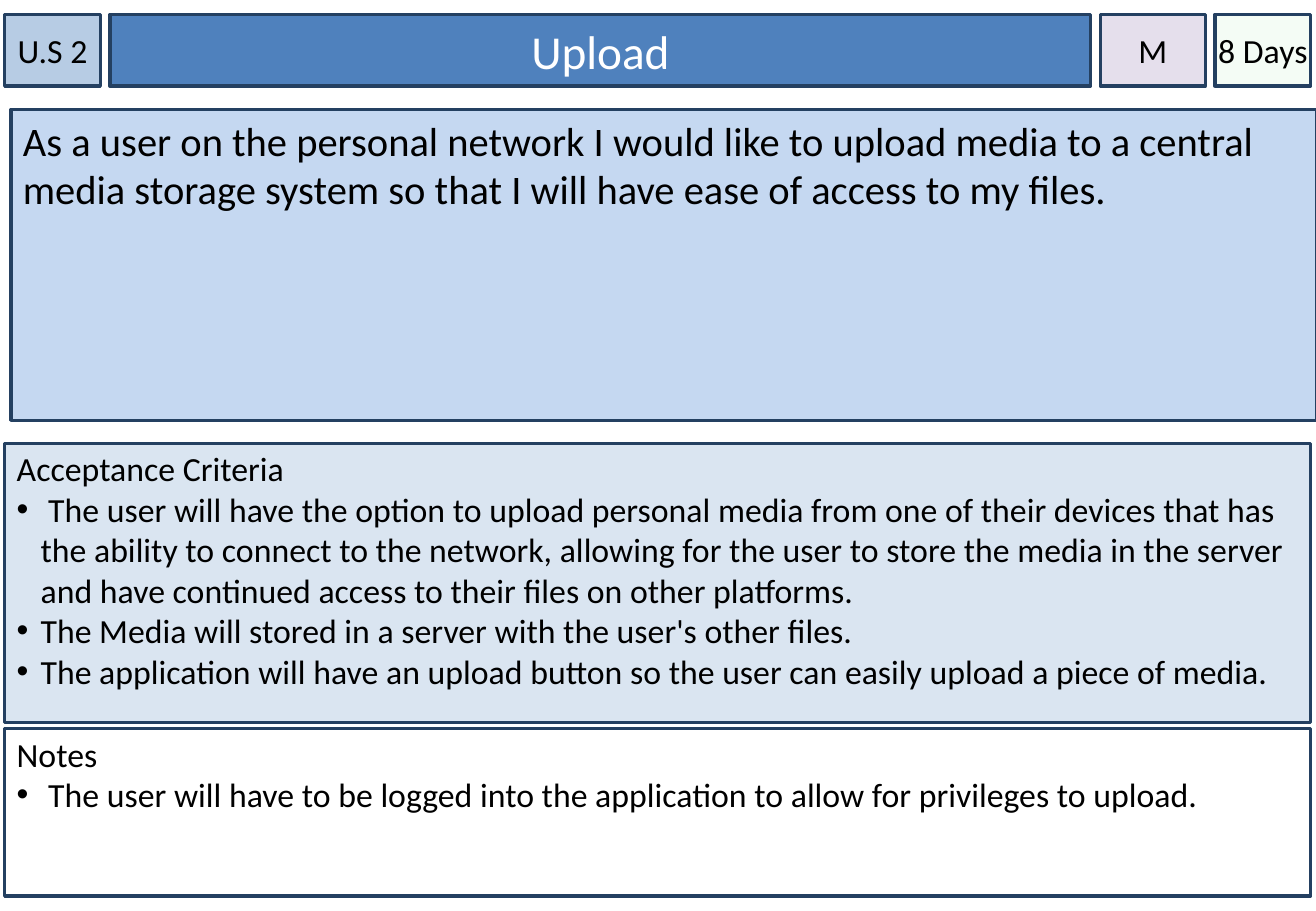
from pptx import Presentation
from pptx.dml.color import RGBColor
from pptx.enum.shapes import MSO_SHAPE
from pptx.enum.text import MSO_ANCHOR, MSO_AUTO_SIZE, PP_ALIGN
from pptx.oxml.ns import qn
from pptx.util import Cm, Pt
from lxml import etree

BLACK = RGBColor(0x00, 0x00, 0x00)
WHITE = RGBColor(0xFF, 0xFF, 0xFF)
NAVY = RGBColor(0x24, 0x40, 0x61)
BLUE = RGBColor(0x4F, 0x81, 0xBD)
STEEL = RGBColor(0xB7, 0xCC, 0xE4)
LILAC = RGBColor(0xE5, 0xDF, 0xEC)
GREEN = RGBColor(0xCC, 0xF0, 0xCD)
SKY = RGBColor(0xC5, 0xD8, 0xF1)
PALE = RGBColor(0xDA, 0xE5, 0xF1)

FONT = "Calibri"
TITLE = "Upload"

# Header cells, left to right: text, width in cm, fill, opacity in percent
HEADER = [
    ("U.S 2", 2, STEEL, 100),
    (TITLE, 20.5, BLUE, 100),
    ("M", 2.2, LILAC, 100),
    ("8 Days", 2, GREEN, 20),
]
HEADER_LEFT, HEADER_TOP, HEADER_HEIGHT, HEADER_GAP = 0.1, 0.3, 1.5, 0.2

# Panels: left, top, height in cm, top inset, fill, text size, heading, bullets
PANEL_WIDTH = 27.3
PANELS = [
    (0.23, 2.29, 6.5, 0.13, SKY, 24,
     "As a user on the personal network I would like to upload media to a "
     "central media storage system so that I will have ease of access to my "
     "files.", []),
    (0.1, 9.27, 5.84, 0.1, PALE, 20, "Acceptance Criteria", [
        " The user will have the option to upload personal media from one of "
        "their devices that has the ability to connect to the network, "
        "allowing for the user to store the media in the server and have "
        "continued access to their files on other platforms.",
        "The Media will stored in a server with the user's other files.",
        "The application will have an upload button so the user can easily "
        "upload a piece of media.",
    ]),
    (0.1, 15.24, 3.5, 0.1, WHITE, 20, "Notes", [
        " The user will have to be logged into the application to allow for "
        "privileges to upload.",
    ]),
]


def style_box(shape, box, fill, side_inset, top_inset, anchor):
    """Place a box (in cm) and give it its fill, border and text frame."""
    shape.left, shape.top, shape.width, shape.height = map(Cm, box)
    shape.fill.solid()
    shape.fill.fore_color.rgb = fill
    shape.line.color.rgb = NAVY
    shape.line.width = Pt(2)
    frame = shape.text_frame
    frame.word_wrap = True
    frame.auto_size = MSO_AUTO_SIZE.NONE
    frame.vertical_anchor = anchor
    frame.margin_left = frame.margin_right = Cm(side_inset)
    frame.margin_top, frame.margin_bottom = Cm(top_inset), Cm(0.13)


def add_rectangle(slide):
    """Add a rectangle without a shadow."""
    shape = slide.shapes.add_shape(MSO_SHAPE.RECTANGLE, 0, 0, 0, 0)
    shape.shadow.inherit = False
    return shape


def write(paragraph, text, size, color, align):
    """Put one formatted run in a paragraph."""
    paragraph.alignment = align
    run = paragraph.add_run()
    run.text = text
    run.font.name, run.font.size = FONT, Pt(size)
    run.font.color.rgb = color


def add_bullet(paragraph):
    """Give a paragraph a round bullet and a hanging indent."""
    properties = paragraph._p.get_or_add_pPr()
    properties.set("marL", str(Cm(0.5)))
    properties.set("indent", str(-Cm(0.5)))
    etree.SubElement(properties, qn("a:buFont")).set("typeface", "Arial")
    etree.SubElement(properties, qn("a:buChar")).set("char", "\u2022")


def set_opacity(shape, percent):
    """Make the solid fill of a shape partly transparent."""
    color = shape._element.spPr.find(qn("a:solidFill"))[0]
    etree.SubElement(color, qn("a:alpha")).set("val", str(percent * 1000))


def add_header(slide):
    """Lay out the header cells in a row with equal gaps."""
    left = HEADER_LEFT
    for text, width, fill, opacity in HEADER:
        is_title = text == TITLE
        cell = slide.shapes.title if is_title else add_rectangle(slide)
        style_box(cell, (left, HEADER_TOP, width, HEADER_HEIGHT), fill,
                  0.25 if is_title else 0, 0.13, MSO_ANCHOR.MIDDLE)
        if opacity < 100:
            set_opacity(cell, opacity)
        write(cell.text_frame.paragraphs[0], text, 28 if is_title else 20,
              WHITE if is_title else BLACK, PP_ALIGN.CENTER)
        left += width + HEADER_GAP


def add_panels(slide):
    """Add the story, criteria and notes panels."""
    for left, top, height, inset, fill, size, heading, bullets in PANELS:
        panel = add_rectangle(slide)
        style_box(panel, (left, top, PANEL_WIDTH, height), fill,
                  0.25, inset, MSO_ANCHOR.TOP)
        frame = panel.text_frame
        write(frame.paragraphs[0], heading, size, BLACK, PP_ALIGN.LEFT)
        for text in bullets:
            paragraph = frame.add_paragraph()
            write(paragraph, text, size, BLACK, PP_ALIGN.LEFT)
            add_bullet(paragraph)


prs = Presentation()
prs.slide_width, prs.slide_height = Cm(27.51), Cm(19.05)
story_card = prs.slides.add_slide(prs.slide_layouts[5])
add_header(story_card)
add_panels(story_card)
prs.save("out.pptx")
